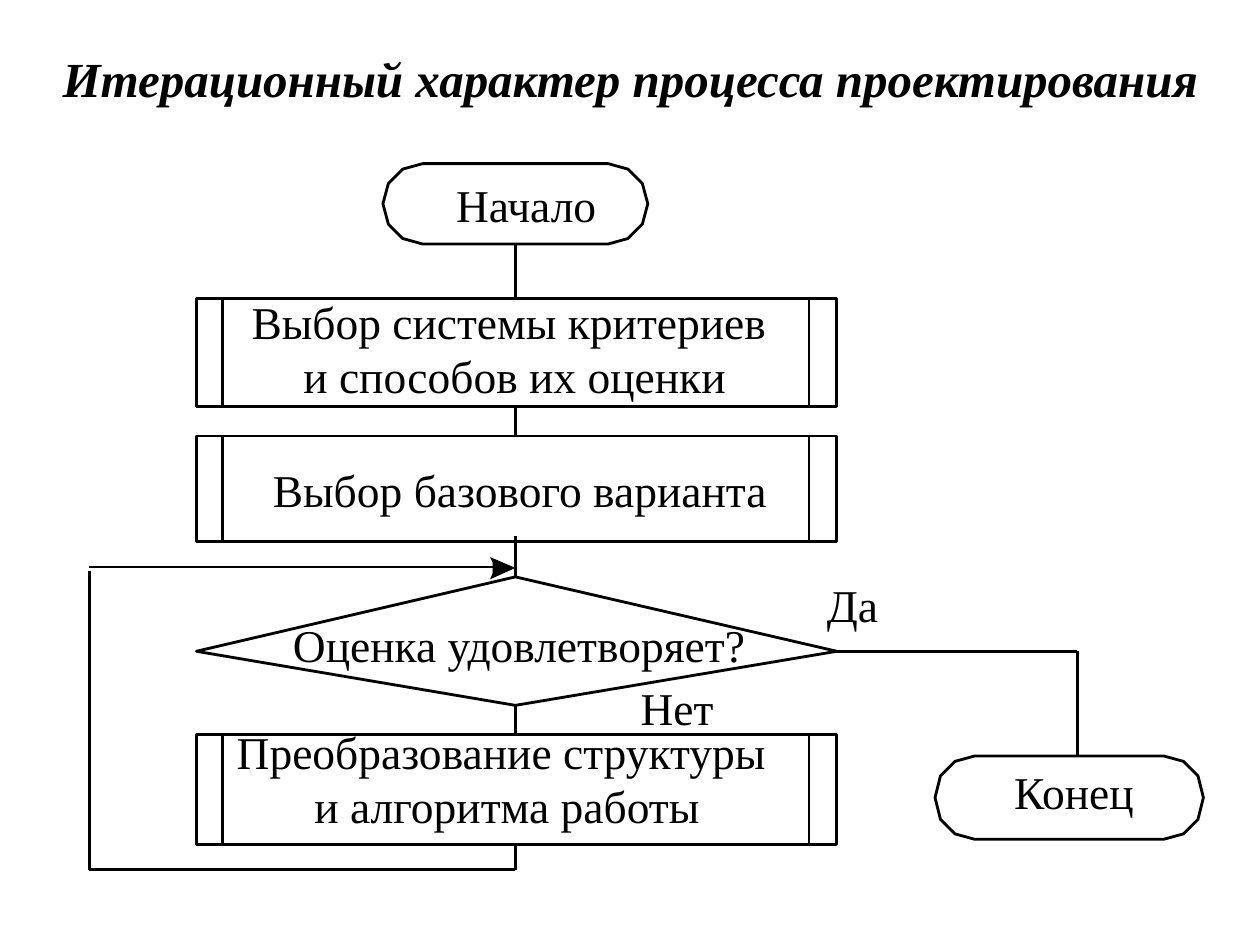
import pptx
import pptx.dml.color
import pptx.enum.shapes
import pptx.enum.text
import pptx.oxml
import pptx.oxml.ns
import pptx.util

Cm = pptx.util.Cm
Pt = pptx.util.Pt
COLORS = {"ink": "000000", "paper": "FFFFFF"}
INK, PAPER = (pptx.dml.color.RGBColor.from_string(COLORS[name]) for name in ("ink", "paper"))
FONT = "Times New Roman"
LINE_WIDTH = Pt(1.62)

deck = pptx.Presentation()
deck.slide_width, deck.slide_height = Cm(25.4), Cm(19.05)
page = deck.slides.add_slide(deck.slide_layouts[5])


def style_shape(shape, fill):
    """Give a shape a plain fill and a thin dark outline."""
    shape.shadow.inherit = False
    shape.fill.solid()
    shape.fill.fore_color.rgb = fill
    shape.line.color.rgb = INK
    shape.line.width = LINE_WIDTH


def add_outline(points, fill):
    """Draw a closed polygon through points given in centimetres."""
    corners = [(Cm(x), Cm(y)) for x, y in points]
    builder = page.shapes.build_freeform(*corners[0])
    builder.add_line_segments(corners[1:], close=True)
    shape = builder.convert_to_shape()
    style_shape(shape, fill)
    return shape


# Title
title = page.shapes.title
title.left, title.top, title.width, title.height = Cm(0.64), Cm(0.86), Cm(24.13), Cm(1.45)
frame = title.text_frame
frame.text = "Итерационный характер процесса проектирования"
frame.word_wrap = True
frame.auto_size = pptx.enum.text.MSO_AUTO_SIZE.NONE
frame.vertical_anchor = pptx.enum.text.MSO_ANCHOR.TOP
para = frame.paragraphs[0]
para.alignment = pptx.enum.text.PP_ALIGN.CENTER
para.font.name, para.font.size = FONT, Pt(28)
para.font.bold = para.font.italic = True
para.font.color.rgb = INK

# Flowchart columns and rows
left, right, middle = 3.96, 16.87, 10.39
loop_x, end_x = 1.8, 21.72
bar_left, bar_right = 4.48, 16.31
loop_top, loop_bottom = 11.43, 17.53
diamond_top, diamond_side, diamond_bottom = 11.63, 13.13, 14.22
steps = [(6.02, 8.2), (8.79, 10.92), (14.81, 17.02)]

# Process steps
lines = []
for top, bottom in steps:
    step = page.shapes.add_shape(pptx.enum.shapes.MSO_SHAPE.RECTANGLE,
                                 Cm(left), Cm(top), Cm(right - left), Cm(bottom - top))
    style_shape(step, PAPER)
    lines += [(x, top, x, bottom) for x in (bar_left, bar_right)]

# Decision
add_outline([(middle, diamond_top), (right, diamond_side),
             (middle, diamond_bottom), (left, diamond_side)], PAPER)

# Start and end terminators
for x, y, width, height in [(7.72, 3.3, 5.34, 1.62), (18.85, 15.24, 5.41, 1.68)]:
    corner = [(0.8, 0), (0.4, 0.11), (0.11, 0.4), (0, height / 2),
              (0.11, height - 0.4), (0.4, height - 0.11), (0.8, height)]
    mirrored = [(width - dx, dy) for dx, dy in reversed(corner)]
    add_outline([(x + dx, y + dy) for dx, dy in corner + mirrored], PAPER)

# Connecting lines
lines += [
    (middle, 4.92, middle, steps[0][0]),
    (middle, steps[0][1], middle, steps[1][0]),
    (middle, 10.8, middle, diamond_top),
    (middle, diamond_bottom, middle, steps[2][0]),
    (middle, steps[2][1], middle, loop_bottom),
    (middle, loop_bottom, loop_x, loop_bottom),
    (loop_x, loop_bottom, loop_x, 11.51),
    (loop_x, loop_top, 10.06, loop_top),
    (right, diamond_side, end_x, diamond_side),
    (end_x, diamond_side, end_x, 15.24),
]
for ends in lines:
    line = page.shapes.add_connector(pptx.enum.shapes.MSO_CONNECTOR.STRAIGHT,
                                     *(Cm(value) for value in ends))
    line.line.color.rgb = INK
    line.line.width = LINE_WIDTH
    line._element.spPr.append(pptx.oxml.parse_xml(
        "<a:effectLst %s/>" % pptx.oxml.ns.nsdecls("a")))

# Arrowhead of the loop
arrow = add_outline([(middle, 11.45), (9.88, 11.68), (9.93, 11.56),
                     (9.93, 11.34), (9.88, 11.23)], INK)
arrow.line.fill.background()

# Labels: text, left, top, width, height
labels = [
    ("Начало", 9.1, 3.56, 3.02, 1.09),
    ("Выбор системы критериев \vи способов их оценки", 4.45, 5.92, 11.86, 2.21),
    ("Выбор базового варианта", 4.87, 9.32, 11.23, 1.09),
    ("Оценка удовлетворяет?", 5.76, 12.43, 9.42, 1.09),
    ("Преобразование структуры \vи алгоритма работы", 4.37, 14.59, 11.71, 2.21),
    ("Да", 16.51, 11.64, 1.35, 1.09),
    ("Нет", 12.7, 13.7, 1.9, 1.09),
    ("Конец", 20.3, 15.41, 2.7, 1.09),
]
for text, *place in labels:
    box = page.shapes.add_textbox(*(Cm(value) for value in place))
    frame = box.text_frame
    frame.margin_left = frame.margin_right = frame.margin_top = frame.margin_bottom = 0
    frame.word_wrap = False
    frame.text = text
    para = frame.paragraphs[0]
    para.alignment = pptx.enum.text.PP_ALIGN.CENTER
    para.font.name, para.font.size = FONT, Pt(26)
    para.font.color.rgb = INK

deck.save("out.pptx")
